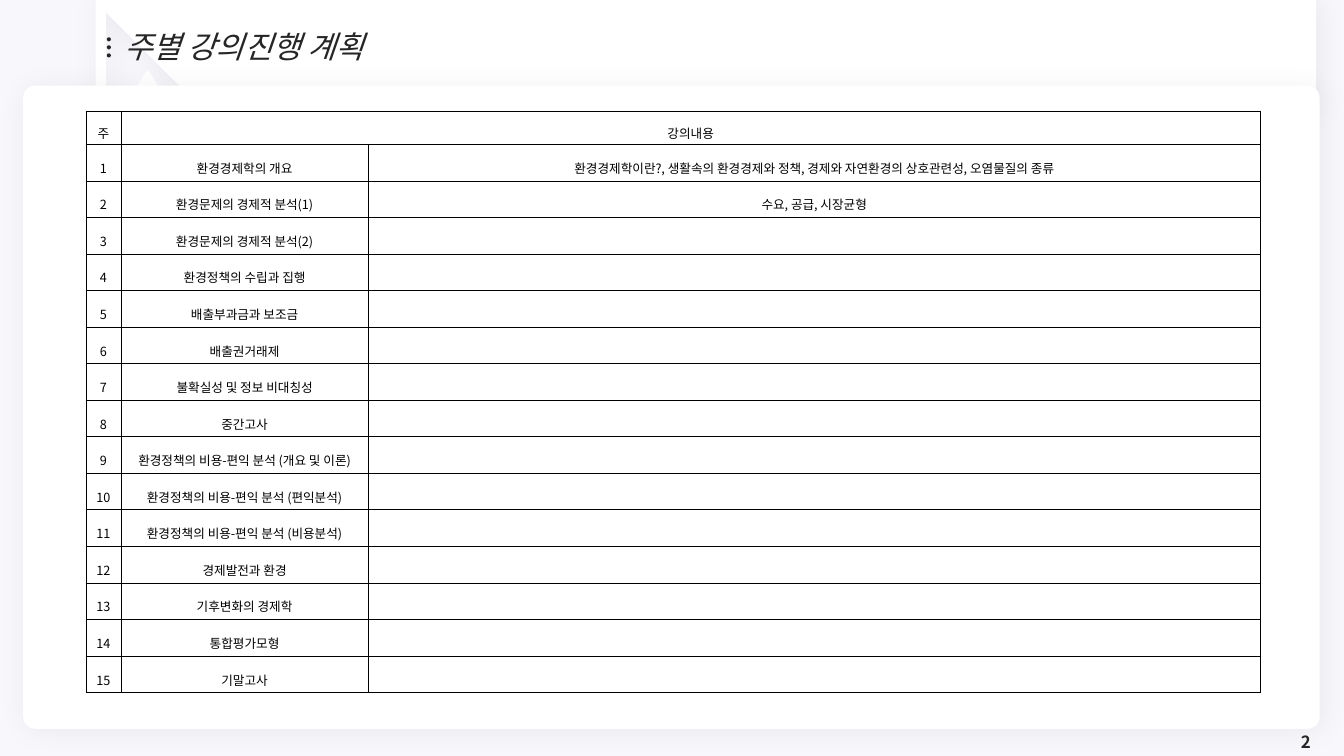
from math import cos, radians, sin
from lxml import etree
from pptx import Presentation
from pptx.dml.color import RGBColor
from pptx.enum.shapes import MSO_SHAPE
from pptx.enum.text import MSO_ANCHOR, MSO_AUTO_SIZE, PP_ALIGN
from pptx.oxml import parse_xml
from pptx.oxml.ns import nsdecls, qn
from pptx.util import Inches, Pt

OVAL, TRIANGLE, ROUNDED = MSO_SHAPE.OVAL, MSO_SHAPE.ISOSCELES_TRIANGLE, MSO_SHAPE.ROUNDED_RECTANGLE
LEFT, CENTER, RIGHT = PP_ALIGN.LEFT, PP_ALIGN.CENTER, PP_ALIGN.RIGHT
MIDDLE, NO_FIT = MSO_ANCHOR.MIDDLE, MSO_AUTO_SIZE.NONE
FONT, INK, WHITE, BLACK = "Noto Sans CJK KR", "262626", "FFFFFF", "000000"

TOPICS = [
    ("환경경제학의 개요",
     "환경경제학이란?, 생활속의 환경경제와 정책, 경제와 자연환경의 상호관련성, 오염물질의 종류"),
    ("환경문제의 경제적 분석(1)", "수요, 공급, 시장균형"),
    ("환경문제의 경제적 분석(2)", ""),
    ("환경정책의 수립과 집행", ""),
    ("배출부과금과 보조금", ""),
    ("배출권거래제", ""),
    ("불확실성 및 정보 비대칭성", ""),
    ("중간고사", ""),
    ("환경정책의 비용-편익 분석 (개요 및 이론)", ""),
    ("환경정책의 비용-편익 분석 (편익분석)", ""),
    ("환경정책의 비용-편익 분석 (비용분석)", ""),
    ("경제발전과 환경", ""),
    ("기후변화의 경제학", ""),
    ("통합평가모형", ""),
    ("기말고사", ""),
]


def style_shape(sp, fill, line_width=0, shadow=False):
    sp.shadow.inherit = False
    sp.fill.solid()
    sp.fill.fore_color.rgb = RGBColor.from_string(fill)
    if line_width:
        sp.line.color.rgb = RGBColor.from_string(fill)
        sp.line.width = Pt(line_width)
    else:
        sp.line.fill.background()
    if shadow:
        sp._element.spPr.find(qn("a:effectLst")).append(parse_xml(
            f'<a:outerShdw {nsdecls("a")} blurRad="{Pt(20)}" dist="{Pt(3)}" dir="2700000" '
            'algn="tl" rotWithShape="0"><a:srgbClr val="000000"><a:alpha val="5000"/>'
            '</a:srgbClr></a:outerShdw>'))


def add_run(p, text, size, color, align, bold=False, italic=False):
    p.alignment = align
    r = p.add_run()
    r.text = text
    r.font.size = Pt(size)
    r.font.name = FONT
    r.font.bold = bold
    r.font.italic = italic
    r.font.color.rgb = RGBColor.from_string(color)
    etree.SubElement(r.font._element, qn("a:ea"), typeface=FONT)


prs = Presentation()
prs.slide_width, prs.slide_height = Inches(13.33), Inches(7.5)
slide = prs.slides.add_slide(prs.slide_layouts[5])
slide.background.fill.solid()
slide.background.fill.fore_color.rgb = RGBColor.from_string("F8F7FC")
shapes = slide.shapes

left, top, right, bottom, radius = 0.91, 0.25, 13.02, 0.68, 0.07
corners = [(right - radius, top + radius, -90), (right - radius, bottom - radius, 0),
           (left + radius, bottom - radius, 90), (left + radius, top + radius, 180)]
outline = []
for cx, cy, start in corners:
    if start == 90:
        outline += [(1.58, bottom), (1.47, 0.5), (1.37, bottom)]
    for step in range(7):
        angle = radians(start + 15 * step)
        outline.append((cx + radius * cos(angle), cy + radius * sin(angle)))
builder = shapes.build_freeform(*outline[0], scale=Inches(1))
builder.add_line_segments(outline[1:], close=True)
style_shape(builder.convert_to_shape(), WHITE, 7.25, shadow=True)

dots = shapes.add_group_shape()
for i in range(3):
    dot = dots.shapes.add_shape(OVAL, Inches(1.06), Inches(0.37 + 0.08 * i), Inches(0.04), Inches(0.04))
    style_shape(dot, INK)

pointer = shapes.add_shape(TRIANGLE, Inches(1.35), Inches(0.73), Inches(0.23), Inches(0.2))
style_shape(pointer, WHITE, 3.75)
panel = shapes.add_shape(ROUNDED, Inches(0.23), Inches(0.85), Inches(12.86), Inches(6.38))
panel.adjustments[0] = 0.019
style_shape(panel, WHITE, shadow=True)

title = shapes.title
panel._element.addnext(title._element)
title.left, title.top, title.width, title.height = Inches(1.13), Inches(0.35), Inches(11.41), Inches(0.26)
number = shapes.add_textbox(Inches(10.1), Inches(7.23), Inches(3), Inches(0.26))
for sp in (title, number):
    tf = sp.text_frame
    tf.word_wrap = True
    tf.auto_size = NO_FIT
    tf.vertical_anchor = MIDDLE
title.text_frame.paragraphs[0].line_spacing = 0.9
add_run(title.text_frame.paragraphs[0], "주별 강의진행 계획", 22, INK, LEFT, italic=True)
add_run(number.text_frame.paragraphs[0], "2", 12, INK, RIGHT, bold=True)

rows = [("주", "강의내용", "")]
rows += [(str(week), topic, detail) for week, (topic, detail) in enumerate(TOPICS, 1)]
table = shapes.add_table(len(rows), 3, Inches(0.85), Inches(1.1), Inches(11.65), Inches(5.77)).table
table.first_row = table.horz_banding = False
for column, width in zip(table.columns, (0.35, 2.45, 8.85)):
    column.width = Inches(width)
for row in table.rows:
    row.height = Inches(5.44 / len(TOPICS))
table.rows[0].height = Inches(0.33)
table.cell(0, 1).merge(table.cell(0, 2))

for i, texts in enumerate(rows):
    for j, text in enumerate(texts):
        cell = table.cell(i, j)
        cell.margin_left = cell.margin_right = Inches(0.06)
        cell.margin_top = cell.margin_bottom = Inches(0.02)
        cell.vertical_anchor = MIDDLE
        cell.fill.background()
        p = cell.text_frame.paragraphs[0]
        if text:
            p.line_spacing = 1.6
            add_run(p, text, 9, BLACK, CENTER)
        else:
            etree.SubElement(p._p, qn("a:endParaRPr"), sz="900")
        for k, side in enumerate(("lnL", "lnR", "lnT", "lnB")):
            cell._tc.tcPr.insert(k, parse_xml(
                f'<a:{side} {nsdecls("a")} w="{Pt(0.28)}"><a:solidFill>'
                f'<a:srgbClr val="{BLACK}"/></a:solidFill></a:{side}>'))

prs.save("out.pptx")
